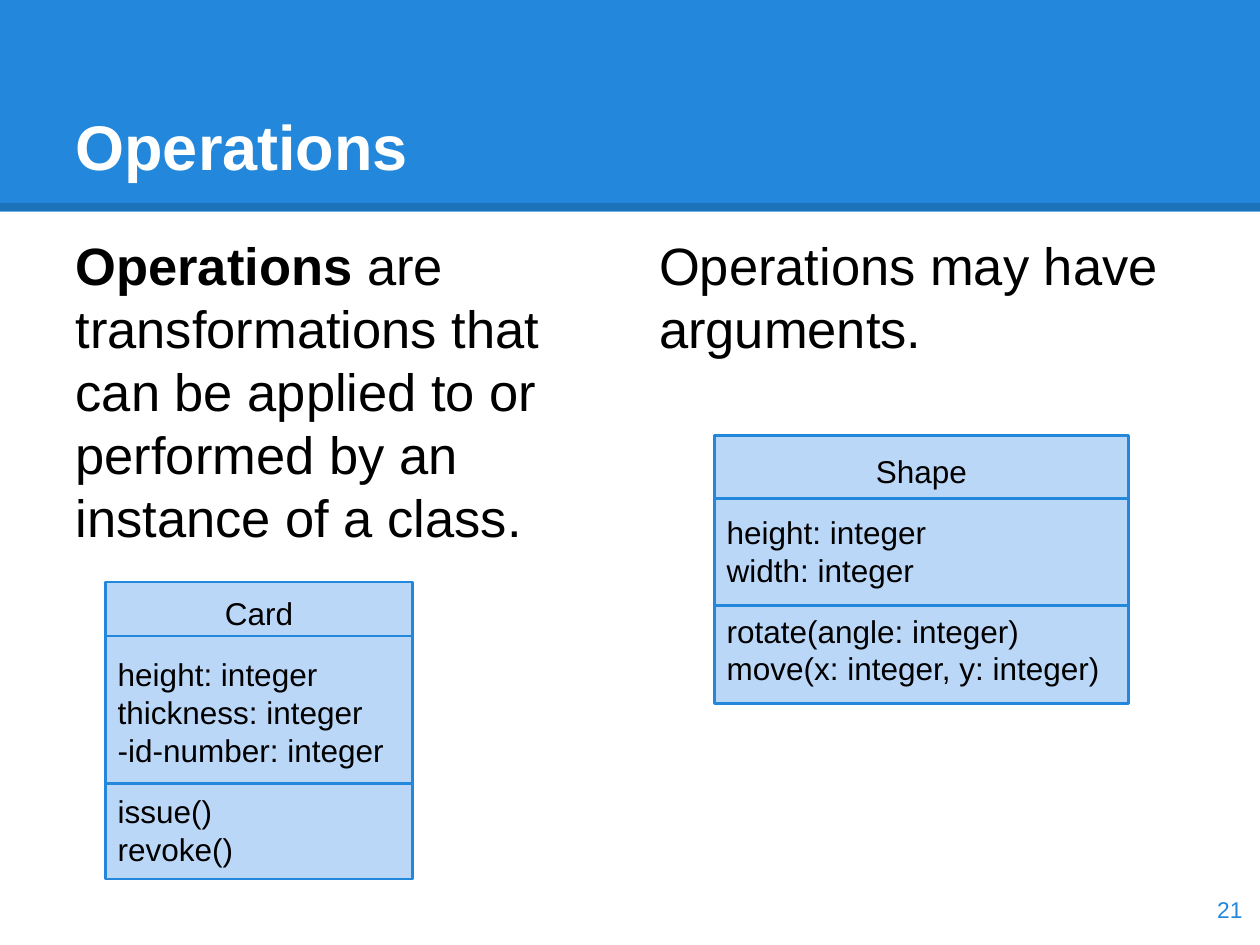
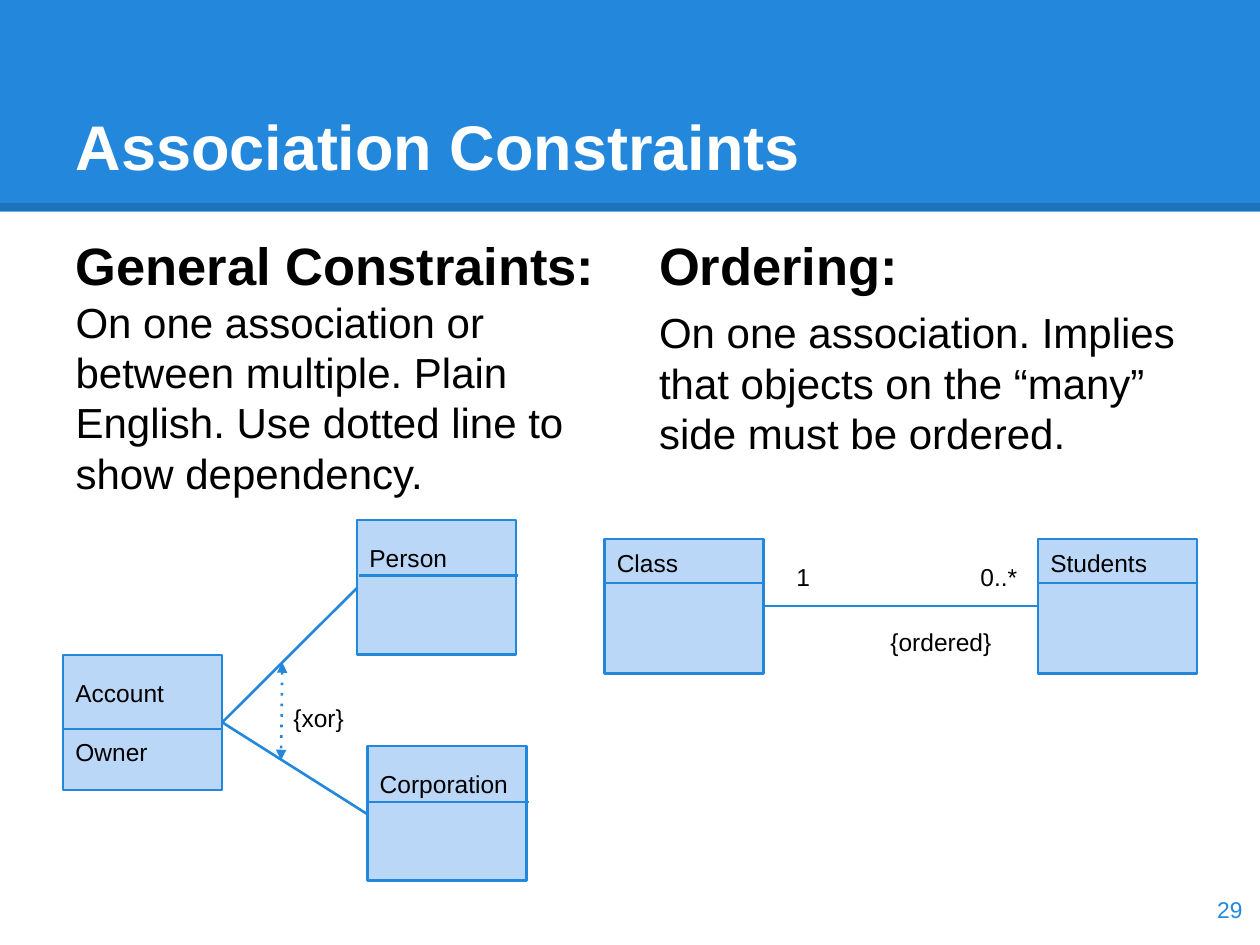
from lxml.etree import SubElement
from pptx import Presentation
from pptx.dml.color import RGBColor
from pptx.enum.shapes import MSO_CONNECTOR, MSO_SHAPE
from pptx.enum.text import MSO_ANCHOR, MSO_AUTO_SIZE, PP_ALIGN
from pptx.oxml.ns import qn
from pptx.util import Pt

COLORS = {"blue": "2388DB", "pale": "BBD7F8", "black": "000000", "white": "FFFFFF"}
FONT = "Arial"
INSET = 7.2


def color(name):
    return RGBColor.from_string(COLORS[name])


def write(p, text, size=14, ink="black", bold=False, align=PP_ALIGN.LEFT, before=0):
    pPr = p._p.get_or_add_pPr()
    pPr.set("marL", "0")
    pPr.set("indent", "0")
    SubElement(pPr, qn("a:buNone"))
    p.alignment = align
    p.space_before = Pt(before)
    p.space_after = Pt(0)
    p.line_spacing = Pt(round(size * 1.2, 2))
    r = p.add_run()
    r.text = text
    r.font.name = FONT
    r.font.size = Pt(size)
    r.font.bold = bold
    r.font.color.rgb = color(ink)


class Deck:
    def __init__(self):
        self.prs = Presentation()
        self.prs.slide_width, self.prs.slide_height = Pt(720), Pt(540)
        self.s = None

    def slide(self, title, number):
        self.s = self.prs.slides.add_slide(self.prs.slide_layouts[3])
        self.band()
        tf = self.frame(self.s.shapes.title, 36, 21.6, 648, 90, MSO_ANCHOR.BOTTOM)
        write(tf.paragraphs[0], title, size=36, ink="white", bold=True)
        self.label(str(number), 673.9, 499, 43.2, 41, MSO_ANCHOR.MIDDLE,
                   size=13, ink="blue", align=PP_ALIGN.RIGHT)

    def band(self):
        sp = self.rect(0, 0, 720, 121, "blue")
        c = self.line(0, 118.3, 720, 118.3, ink="black", width=4.5)
        srgb = c.line._get_or_add_ln().find(".//" + qn("a:srgbClr"))
        SubElement(srgb, qn("a:alpha"), val="15000")
        for i, shape in enumerate((sp, c)):
            self.s.shapes.element.insert(2 + i, shape._element)

    def frame(self, sp, x, y, w, h, anchor=MSO_ANCHOR.TOP, top=INSET):
        sp.left, sp.top, sp.width, sp.height = Pt(x), Pt(y), Pt(w), Pt(h)
        tf = sp.text_frame
        tf.word_wrap = True
        tf.auto_size = MSO_AUTO_SIZE.NONE
        tf.vertical_anchor = anchor
        tf.margin_left = tf.margin_right = tf.margin_bottom = Pt(INSET)
        tf.margin_top = Pt(top)
        return tf

    def body(self, idx, h):
        x = {1: 36, 2: 369.4}[idx]
        return self.frame(self.s.placeholders[idx], x, 126, 314.6, h)

    def label(self, text, x, y, w, h, anchor=MSO_ANCHOR.TOP, **style):
        sp = self.s.shapes.add_textbox(Pt(x), Pt(y), Pt(w), Pt(h))
        write(self.frame(sp, x, y, w, h, anchor).paragraphs[0], text, **style)

    def rect(self, x, y, w, h, fill, outline=None):
        sp = self.s.shapes.add_shape(MSO_SHAPE.RECTANGLE, Pt(x), Pt(y), Pt(w), Pt(h))
        sp.shadow.inherit = False
        sp.fill.solid()
        sp.fill.fore_color.rgb = color(fill)
        if outline:
            sp.line.color.rgb = color(outline)
            sp.line.width = Pt(1.5)
        else:
            sp.line.fill.background()
        return sp

    def line(self, x1, y1, x2, y2, ink="blue", width=1.5, dotted_arrow=False):
        c = self.s.shapes.add_connector(MSO_CONNECTOR.STRAIGHT, Pt(x1), Pt(y1), Pt(x2), Pt(y2))
        c.line.color.rgb = color(ink)
        c.line.width = Pt(width)
        if dotted_arrow:
            ln = c.line._get_or_add_ln()
            SubElement(ln, qn("a:prstDash"), val="dot")
            for end in ("a:headEnd", "a:tailEnd"):
                SubElement(ln, qn(end), type="triangle")
        SubElement(c._element.spPr, qn("a:effectLst"))
        return c

    def class_box(self, x, y, w, h, parts, dividers, top, size=14, gap=16.8,
                  name_align=PP_ALIGN.LEFT, shift=0):
        tf = self.frame(self.rect(x, y, w, h, "pale", "blue"), x, y, w, h, top=top)
        for i, lines in enumerate(parts):
            for j, text in enumerate(lines):
                p = tf.add_paragraph() if i or j else tf.paragraphs[0]
                write(p, text, size=size, before=gap if i and not j else 0,
                      align=PP_ALIGN.LEFT if i else name_align)
        for dy in dividers:
            self.line(x + shift, y + dy, x + w + shift, y + dy)

    def full_class(self, x, y, w, h, parts, dividers, top):
        self.class_box(x, y, w, h, parts, dividers, top, size=18, gap=13.2,
                       name_align=PP_ALIGN.CENTER)

    def small_class(self, x, y, parts, divider, top=13.3, shift=0):
        self.class_box(x, y, 91, 77, parts, [divider], top, shift=shift)


def operations(d):
    d.slide("Operations", 21)
    p = d.body(1, 145).paragraphs[0]
    write(p, "Operations", size=30, bold=True)
    r = p.add_run()
    r.text = " are transformations that can be applied to or performed by an instance of a class."
    r.font.name, r.font.size, r.font.bold = FONT, Pt(30), False
    r.font.color.rgb = color("black")
    write(d.body(2, 90).paragraphs[0], "Operations may have arguments.", size=30)
    d.full_class(60.2, 332.6, 175.7, 169.7,
                 [["Card"],
                  ["height: integer", "thickness: integer", "-id-number: integer"],
                  ["issue()", "revoke()"]], [30.8, 115.2], top=7)
    d.full_class(408.2, 248.8, 236.7, 153.2,
                 [["Shape"],
                  ["height: integer", "width: integer"],
                  ["rotate(angle: integer)", "move(x: integer, y: integer)"]],
                 [36, 97.2], top=9.5)


def association_constraints(d):
    d.slide("Association Constraints", 29)
    columns = [
        (1, 0, "General Constraints:", "On one association or between multiple. "
         "Plain English. Use dotted line to show dependency."),
        (2, 6, "Ordering:", "On one association. Implies that objects on the “many” "
         "side must be ordered."),
    ]
    for idx, before, head, text in columns:
        tf = d.body(idx, 139)
        write(tf.paragraphs[0], head, size=30, bold=True)
        write(tf.add_paragraph(), text, size=24, before=before)

    for x, name in ((345.4, "Class"), (593.1, "Students")):
        d.small_class(x, 308, [[name]], 25.2, top=4.9)
    d.line(436.4, 346.2, 593.1, 346.2)
    d.label("1", 448, 314, 40, 24)
    d.label("0..*", 538.4, 314, 50, 24, align=PP_ALIGN.RIGHT)
    d.label("{ordered}", 501.7, 351.2, 80.6, 24)

    d.small_class(36, 374.4, [["Account"], ["Owner"]], 42.2)
    for x, y, name in ((204, 297.2, "Person"), (209.9, 426.4, "Corporation")):
        d.small_class(x, y, [[name]], 31.8, shift=1.2)
        d.line(127, 412.8, x, y + 38.8)
    d.line(161.3, 378.5, 160.6, 434.4, dotted_arrow=True)
    d.label("{xor}", 160.6, 394.3, 67.7, 24)


def main():
    d = Deck()
    operations(d)
    association_constraints(d)
    d.prs.save("out.pptx")


if __name__ == "__main__":
    main()
